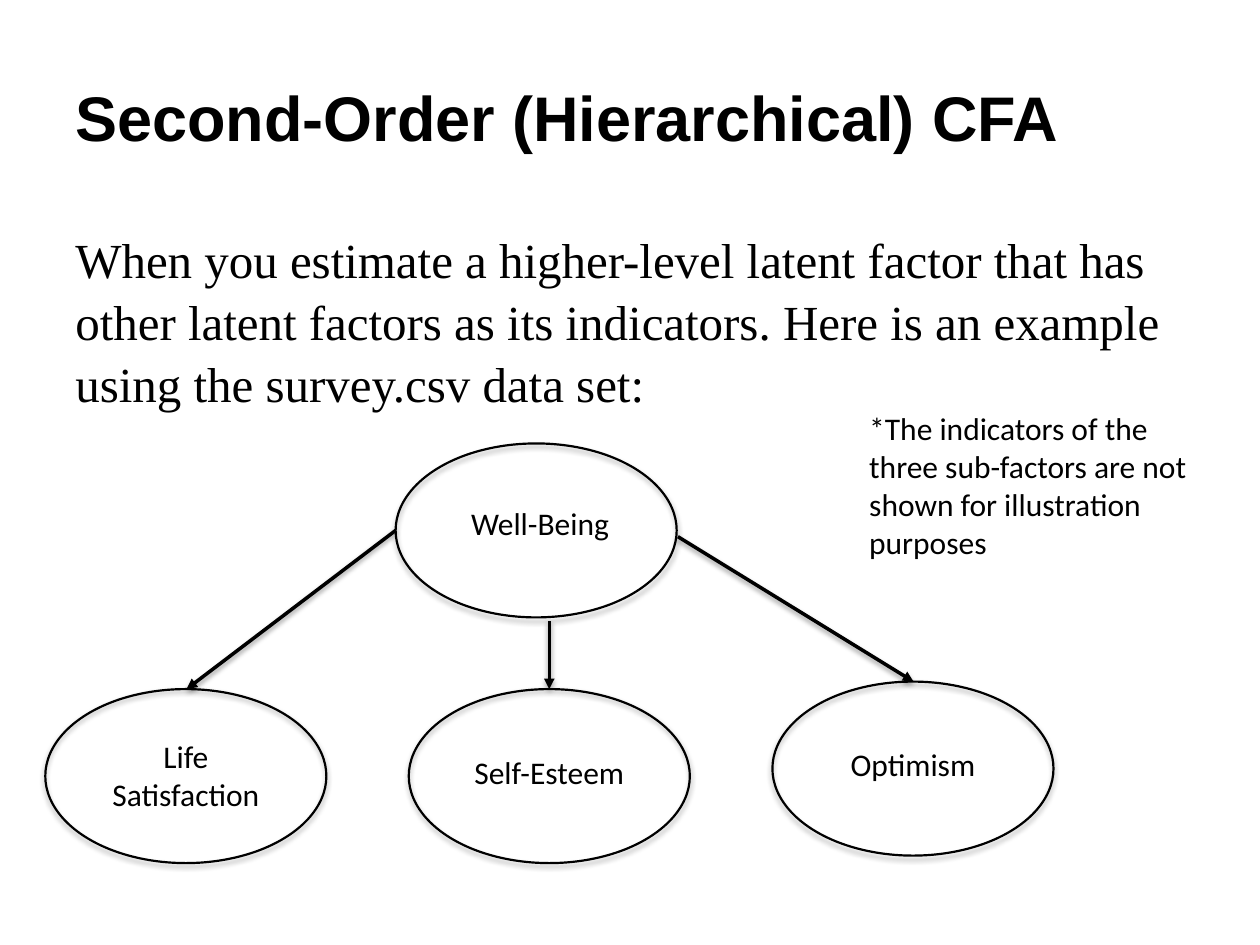
"""Build a slide that shows a second-order factor model."""
from dataclasses import dataclass

from lxml import etree
from pptx import Presentation
from pptx.dml import color
from pptx.enum import shapes, text
from pptx.oxml import ns
from pptx.util import Pt

BLACK = "000000"
OVAL_W, OVAL_H = 160.6, 99.4


@dataclass
class Label:
    words: str
    left: float
    top: float
    width: float
    height: float
    size: float = 18
    font: str = "Calibri"
    bold: bool = False
    align: text.PP_ALIGN = text.PP_ALIGN.LEFT
    anchor: text.MSO_ANCHOR = text.MSO_ANCHOR.TOP
    before: float = 0
    pitch: float = 1


@dataclass
class Factor:
    name: str
    left: float
    top: float
    inset: float
    drop: float
    height: float = 29.1
    align: text.PP_ALIGN = text.PP_ALIGN.CENTER


@dataclass
class Arrow:
    x1: float
    y1: float
    x2: float
    y2: float


LABELS = [
    Label("Second-Order (Hierarchical) CFA", 36, 21.6, 648, 90, 36, "Arial",
          bold=True, anchor=text.MSO_ANCHOR.MIDDLE),
    Label("When you estimate a higher-level latent factor that has other "
          "latent factors as its indicators. Here is an example using the "
          "survey.csv data set:", 36, 126, 648, 127.4, 28,
          "Times New Roman", before=5.6, pitch=1.05),
    Label("*The indicators of the three sub-factors are not shown for "
          "illustration purposes", 489.6, 230.4, 214.6, 94.3),
]
FACTORS = [
    Factor("Well-Being", 226.1, 253.4, 36, 31, align=text.PP_ALIGN.LEFT),
    Factor("Life Satisfaction", 25.9, 393.8, 21.6, 23.8, 51.1),
    Factor("Self-Esteem", 233.6, 393.8, 21.6, 33.1),
    Factor("Optimism", 441.4, 389.5, 21.6, 32.4),
]
ARROWS = [
    Arrow(226.1, 303.1, 106.6, 393.8),
    Arrow(313.9, 355, 313.9, 393.8),
    Arrow(387.4, 306.7, 522, 389.5),
]


def paint(fore, code: str) -> None:
    """Set a colour from its hex string."""
    fore.rgb = color.RGBColor.from_string(code)


def shade(shape, alpha: int, dist: float) -> None:
    """Give a shape a soft shadow that falls straight down."""
    props = shape._element.spPr
    for old in props.findall(ns.qn("a:effectLst")):
        props.remove(old)
    list_ = etree.SubElement(props, ns.qn("a:effectLst"))
    cast = etree.SubElement(
        list_, ns.qn("a:outerShdw"), blurRad=str(Pt(3.1)),
        dist=str(Pt(dist)), dir="5400000", rotWithShape="0")
    tint = etree.SubElement(cast, ns.qn("a:srgbClr"), val=BLACK)
    etree.SubElement(tint, ns.qn("a:alpha"), val=str(alpha * 1000))


def stroke(shape, width: float) -> None:
    """Draw the line of a shape in black."""
    shape.line.width = Pt(width)
    shape.line.fill.solid()
    paint(shape.line.fill.fore_color, BLACK)


def write(slide, label: Label) -> None:
    """Add a text box for a label."""
    box = slide.shapes.add_textbox(
        Pt(label.left), Pt(label.top), Pt(label.width), Pt(label.height))
    frame = box.text_frame
    frame.word_wrap = True
    frame.vertical_anchor = label.anchor
    line = frame.paragraphs[0]
    line.text = label.words
    line.alignment = label.align
    line.space_before = Pt(label.before)
    line.line_spacing = label.pitch
    line.font.name = label.font
    line.font.size = Pt(label.size)
    line.font.bold = label.bold
    paint(line.font.color, BLACK)


def draw(slide, factor: Factor) -> None:
    """Add the oval of a factor and its name."""
    oval = slide.shapes.add_shape(
        shapes.MSO_SHAPE.OVAL, Pt(factor.left), Pt(factor.top),
        Pt(OVAL_W), Pt(OVAL_H))
    oval.fill.background()
    stroke(oval, 1.25)
    shade(oval, 35, 1.8)
    width = 97.9 if factor.align == text.PP_ALIGN.LEFT else 117.4
    write(slide, Label(factor.name, factor.left + factor.inset,
                       factor.top + factor.drop, width, factor.height,
                       align=factor.align))


def link(slide, arrow: Arrow) -> None:
    """Add an arrow between two factors."""
    line = slide.shapes.add_connector(
        shapes.MSO_CONNECTOR.STRAIGHT, Pt(arrow.x1), Pt(arrow.y1),
        Pt(arrow.x2), Pt(arrow.y2))
    stroke(line, 2)
    etree.SubElement(line.line._get_or_add_ln(), ns.qn("a:tailEnd"),
                     type="triangle")
    shade(line, 38, 1.6)


def main() -> None:
    """Build and save the slide."""
    deck = Presentation()
    deck.slide_width, deck.slide_height = Pt(720), Pt(540)
    slide = deck.slides.add_slide(deck.slide_layouts[6])
    *heads, note = LABELS
    for label in heads:
        write(slide, label)
    for factor in FACTORS:
        draw(slide, factor)
    for arrow in ARROWS:
        link(slide, arrow)
    write(slide, note)
    deck.save("out.pptx")


if __name__ == "__main__":
    main()
